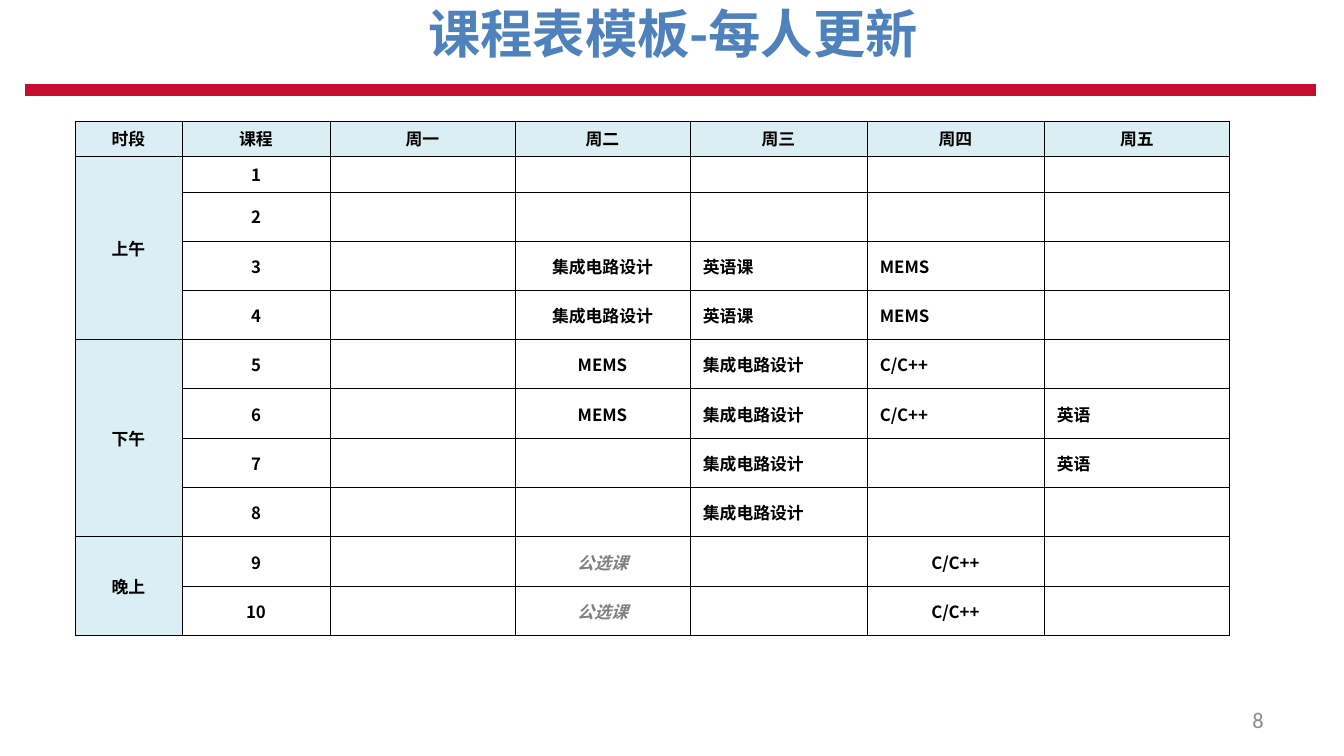
from dataclasses import dataclass

from lxml.etree import SubElement
from pptx import Presentation
from pptx.dml.color import RGBColor
from pptx.enum.shapes import MSO_CONNECTOR
from pptx.enum.text import MSO_ANCHOR, PP_ALIGN
from pptx.oxml.ns import qn
from pptx.util import Pt

PX = 914400 / 134.4
CJK = "Noto Sans CJK SC"
BLACK, GREY, PALE_BLUE = "000000", "808080", "DBEEF4"
LEFT, CENTER, RIGHT = PP_ALIGN.LEFT, PP_ALIGN.CENTER, PP_ALIGN.RIGHT


@dataclass(frozen=True)
class Style:
    size: int
    color: str = BLACK
    font: str = CJK
    bold: bool = True
    italic: bool = False
    align: PP_ALIGN = CENTER


@dataclass(frozen=True)
class Course:
    name: str
    day: int  # 1 is Monday
    periods: tuple[int, ...]
    style: Style


@dataclass(frozen=True)
class Session:
    name: str
    first: int
    last: int


CELL = Style(9)
CELL_LEFT = Style(9, align=LEFT)
ELECTIVE = Style(9, GREY, italic=True)

HEADERS = ["时段", "课程", "周一", "周二", "周三", "周四", "周五"]
COLUMN_WIDTHS = [107, 148, 185, 175, 177, 177, 186]
ROW_HEIGHTS = [35, 36] + [49, 50, 49] * 3
SESSIONS = [Session("上午", 1, 4), Session("下午", 5, 8), Session("晚上", 9, 10)]
COURSES = [
    Course("集成电路设计", 2, (3, 4), CELL),
    Course("MEMS", 2, (5, 6), CELL),
    Course("公选课", 2, (9, 10), ELECTIVE),
    Course("英语课", 3, (3, 4), CELL_LEFT),
    Course("集成电路设计", 3, (5, 6, 7, 8), CELL_LEFT),
    Course("MEMS", 4, (3, 4), CELL_LEFT),
    Course("C/C++", 4, (5, 6), CELL_LEFT),
    Course("C/C++", 4, (9, 10), CELL),
    Course("英语", 5, (6, 7), CELL_LEFT),
]


def px(n: int) -> int:
    return round(n * PX)


def rgb(color: str) -> RGBColor:
    return RGBColor.from_string(color)


def write(tf, text: str, style: Style) -> None:
    p = tf.paragraphs[0]
    p.text = text
    p.alignment = style.align
    f = p.font
    f.size, f.bold, f.italic = Pt(style.size), style.bold, style.italic
    f.color.rgb = rgb(style.color)
    f.name = style.font
    SubElement(f._element, qn("a:ea"), typeface=style.font)


def add_text(s, text: str, x: int, y: int, w: int, h: int, style: Style,
             anchor: MSO_ANCHOR) -> None:
    tf = s.shapes.add_textbox(px(x), px(y), px(w), px(h)).text_frame
    tf.word_wrap = True
    tf.vertical_anchor = anchor
    write(tf, text, style)


def add_rule(s, x1: int, x2: int, y: int, color: str, width: int) -> None:
    line = s.shapes.add_connector(MSO_CONNECTOR.STRAIGHT, px(x1), px(y), px(x2), px(y))
    line.line.color.rgb = rgb(color)
    line.line.width = Pt(width)
    SubElement(line._element.spPr, qn("a:effectLst"))


def format_cell(cell, fill: str | None) -> None:
    cell.vertical_anchor = MSO_ANCHOR.MIDDLE
    cell.margin_left = cell.margin_right = px(13)
    cell.margin_top = cell.margin_bottom = px(5)
    tc_pr = cell._tc.get_or_add_tcPr()
    for side in ("lnL", "lnR", "lnT", "lnB"):
        ln = SubElement(tc_pr, qn(f"a:{side}"), w=str(Pt(0.5)))
        SubElement(SubElement(ln, qn("a:solidFill")), qn("a:srgbClr"), val=BLACK)
    if fill:
        cell.fill.solid()
        cell.fill.fore_color.rgb = rgb(fill)
    else:
        cell.fill.background()


def add_timetable(s, x: int, y: int) -> None:
    rows, cols = len(ROW_HEIGHTS), len(COLUMN_WIDTHS)
    table = s.shapes.add_table(rows, cols, px(x), px(y), px(sum(COLUMN_WIDTHS)),
                               px(sum(ROW_HEIGHTS))).table
    table.horz_banding = False
    for column, width in zip(table.columns, COLUMN_WIDTHS):
        column.width = px(width)
    for row, height in zip(table.rows, ROW_HEIGHTS):
        row.height = px(height)

    entries = {(0, c): (name, CELL) for c, name in enumerate(HEADERS)}
    entries |= {(r, 1): (str(r), CELL) for r in range(1, rows)}
    entries |= {(session.first, 0): (session.name, CELL) for session in SESSIONS}
    entries |= {(r, course.day + 1): (course.name, course.style)
                for course in COURSES for r in course.periods}
    for r in range(rows):
        for c in range(cols):
            cell = table.cell(r, c)
            format_cell(cell, PALE_BLUE if r == 0 or c == 0 else None)
            write(cell.text_frame, *entries.get((r, c), ("", CELL)))
    for session in SESSIONS:
        table.cell(session.first, 0).merge(table.cell(session.last, 0))


def main() -> None:
    prs = Presentation()
    prs.slide_width, prs.slide_height = px(1344), px(756)
    s = prs.slides.add_slide(prs.slide_layouts[6])
    add_text(s, "课程表模板-每人更新", 1, -5, 1344, 77, Style(28, "4F81BD"), MSO_ANCHOR.TOP)
    add_rule(s, 25, 1316, 90, "C60C30", 6)
    add_text(s, "8", 964, 700, 313, 40,
             Style(12, "8C8C8C", "Calibri", bold=False, align=RIGHT), MSO_ANCHOR.MIDDLE)
    add_timetable(s, 75, 121)
    prs.save("out.pptx")


if __name__ == "__main__":
    main()
